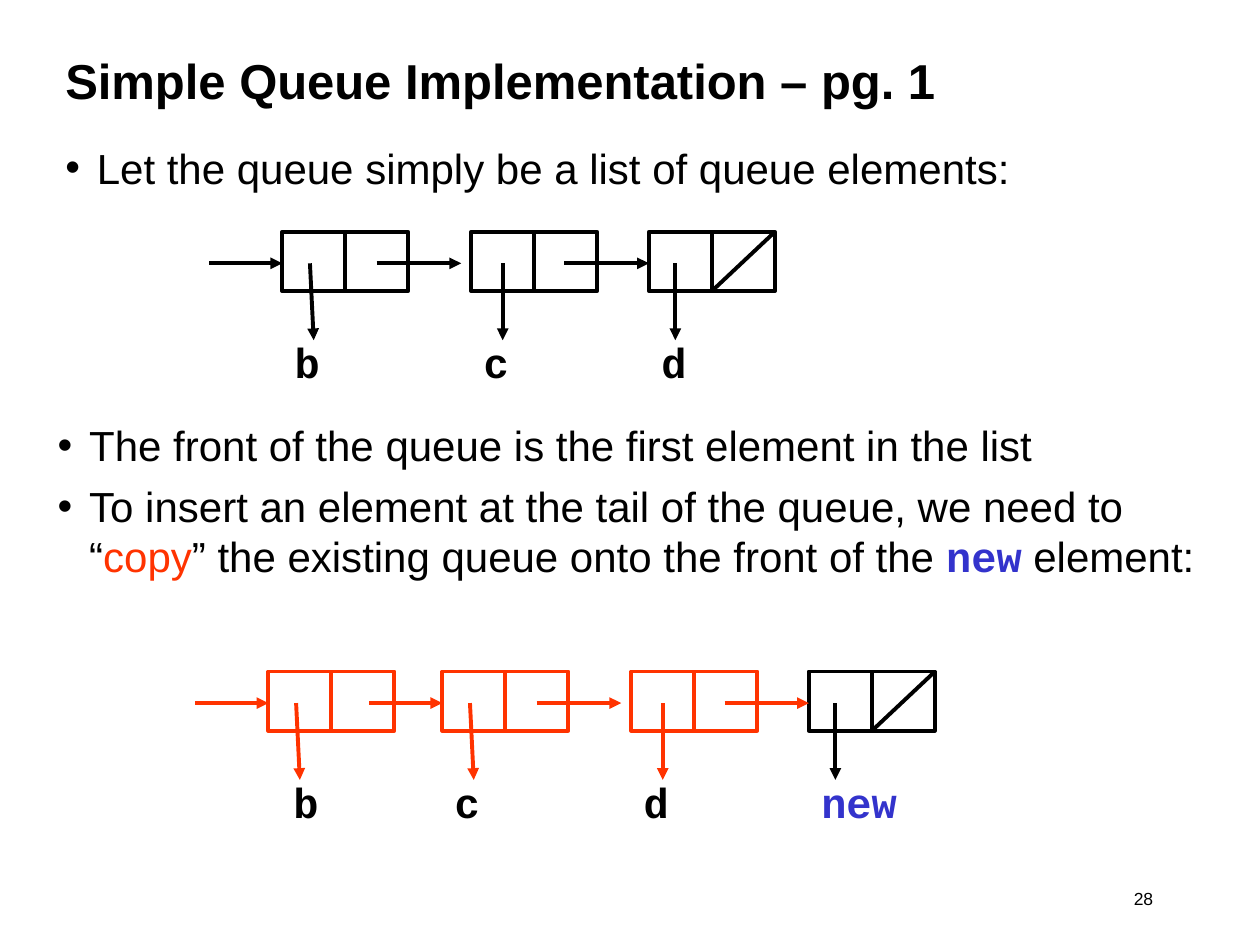
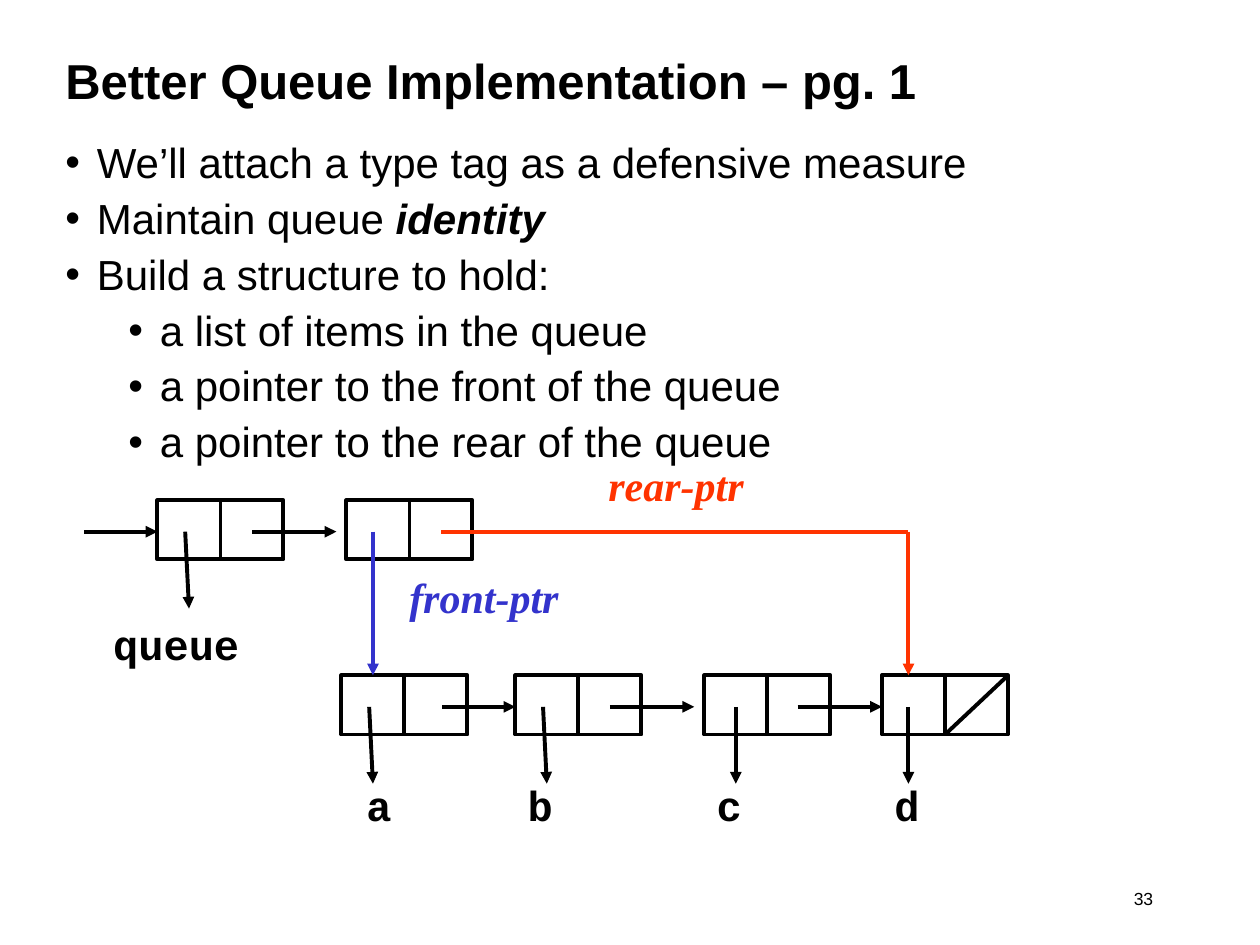
from dataclasses import dataclass

from lxml import etree
from pptx import Presentation
from pptx.dml.color import RGBColor
from pptx.enum.shapes import MSO_CONNECTOR, MSO_SHAPE
from pptx.enum.text import MSO_ANCHOR, PP_ALIGN
from pptx.oxml.ns import qn
from pptx.util import Inches, Pt

STRAIGHT = MSO_CONNECTOR.STRAIGHT
RECT = MSO_SHAPE.RECTANGLE
TOP, MIDDLE = MSO_ANCHOR.TOP, MSO_ANCHOR.MIDDLE
LEFT, RIGHT = PP_ALIGN.LEFT, PP_ALIGN.RIGHT


@dataclass(frozen=True)
class Theme:
    black: RGBColor = RGBColor(0x00, 0x00, 0x00)
    red: RGBColor = RGBColor(0xFF, 0x33, 0x00)
    blue: RGBColor = RGBColor(0x33, 0x33, 0xCC)
    sans: str = "Arial"
    mono: str = "Courier New"
    serif: str = "Times New Roman"
    title: Pt = Pt(28)
    body: Pt = Pt(24)
    number: Pt = Pt(10)
    line: Pt = Pt(2.25)
    gap: Pt = Pt(6)


THEME = Theme()
CODE = {"name": THEME.mono, "bold": True}
POINTER = {"name": THEME.serif, "bold": True, "italic": True}

CELL_W, CELL_H = 1, 0.47
MID = 0.25  # depth inside a cell where its pointers start
DROP = 0.86  # depth where the pointer to the value ends


@dataclass(frozen=True)
class Slot:
    """Place of a queue cell; all x values but left are relative to the cell."""
    left: float
    link: tuple
    drop: tuple
    label: float = 0


FIRST = Slot(0, (-0.58, 0), (0.22, 0.25), 0.1)
SLOTS = (
    FIRST,
    Slot(1.38, (-0.58, 0), (0.22, 0.25)),
    Slot(2.88, (-0.75, -0.08), (0.25, 0.25)),
    Slot(4.29, (-0.67, 0), (0.21, 0.21)),
)


class Deck:
    def __init__(self, theme):
        self.theme = theme
        self.prs = Presentation()
        self.prs.slide_width, self.prs.slide_height = Inches(10), Inches(7.5)
        self.shapes = None

    def slide(self, title, number):
        s = self.prs.slides.add_slide(self.prs.slide_layouts[6])
        self.shapes = s.shapes
        t = self.theme
        self.text(0.42, 0.17, 8.5, 0.92, [title], anchor=MIDDLE,
                  size=t.title, bold=True)
        self.text(6.83, 7, 2.42, 0.33, [number], align=RIGHT, size=t.number)

    def text(self, x, y, w, h, paragraphs, anchor=TOP, align=LEFT, **style):
        """Add a text box; a paragraph is a string or a list of (text, style)."""
        tf = self.shapes.add_textbox(
            Inches(x), Inches(y), Inches(w), Inches(h)).text_frame
        tf.word_wrap = True
        tf.vertical_anchor = anchor
        for i, content in enumerate(paragraphs):
            p = tf.paragraphs[0] if i == 0 else tf.add_paragraph()
            p.alignment = align
            runs = [(content, {})] if isinstance(content, str) else content
            for words, extra in runs:
                self.run(p, words, {**style, **extra})
        return tf

    def run(self, p, words, style):
        values = {"name": self.theme.sans, "size": self.theme.body,
                  "bold": False, "italic": False, **style}
        color = values.pop("color", self.theme.black)
        r = p.add_run()
        r.text = words
        for key, value in values.items():
            setattr(r.font, key, value)
        r.font.color.rgb = color

    def bullets(self, x, y, h, items, spacing=1.0):
        """Add a bullet list; an item is (level, paragraph)."""
        tf = self.text(x, y, 9.25, h, [content for _, content in items])
        for i, (p, (level, _)) in enumerate(zip(tf.paragraphs, items)):
            p.level = level
            p.line_spacing = spacing
            p.space_before = self.theme.gap if i else Pt(0)
            pPr = p._p.get_or_add_pPr()
            pPr.set("marL", str(Inches(0.25 + 0.5 * level)))
            pPr.set("indent", str(Inches(-0.25)))
            etree.SubElement(pPr, qn("a:buFont"), typeface=self.theme.sans)
            etree.SubElement(pPr, qn("a:buChar"), char="•")

    def label(self, x, y, words, w, **style):
        self.text(x, y, w, 0.5, [words], **style)

    def line(self, x1, y1, x2, y2, color, arrow=False):
        c = self.shapes.add_connector(
            STRAIGHT, Inches(x1), Inches(y1), Inches(x2), Inches(y2))
        c.line.color.rgb = color
        c.line.width = self.theme.line
        if arrow:
            etree.SubElement(c.line._ln, qn("a:tailEnd"), type="triangle")
        etree.SubElement(c._element.spPr, qn("a:effectLst"))

    def arrow(self, x1, y1, x2, y2, color):
        self.line(x1, y1, x2, y2, color, arrow=True)

    def cell(self, x, y, color, nil=False):
        """Add a two-part list cell, struck through when it ends the list."""
        sp = self.shapes.add_shape(
            RECT, Inches(x), Inches(y), Inches(CELL_W), Inches(CELL_H))
        sp.shadow.inherit = False
        sp.fill.background()
        sp.line.color.rgb = color
        sp.line.width = self.theme.line
        half = x + CELL_W / 2
        self.line(half, y, half, y + CELL_H, color)
        if nil:
            self.line(x + CELL_W, y, half, y + CELL_H, color)

    def link(self, x, y, slot, color):
        """Add the arrow that leads into the cell at x."""
        start, end = slot.link
        self.arrow(x + start, y + MID, x + end, y + MID, color)

    def drop(self, x, y, slot, color):
        """Add the arrow from the cell at x down to its value."""
        start, end = slot.drop
        self.arrow(x + start, y + MID, x + end, y + DROP, color)

    def queue(self, x, y, items, color, entry=True, last_color=None,
              label_color=None):
        """Add a linked list; a shorter one takes the last slots."""
        slots = SLOTS[-len(items):]
        black = self.theme.black
        for i, (slot, item) in enumerate(zip(slots, items)):
            left = x + slot.left - slots[0].left
            last = i == len(items) - 1
            shade = (last_color or color) if last else color
            self.cell(left, y, shade, nil=last)
            if i or entry:
                self.link(left, y, slot, color)
            self.drop(left, y, slot, shade)
            ink = (label_color or black) if last else black
            self.label(left + slot.label, y + 0.78, item,
                       w=0.3 + 0.2 * len(item), color=ink, **CODE)


def simple_queue(deck):
    t = deck.theme
    deck.slide("Simple Queue Implementation – pg. 1", "28")
    deck.bullets(0.42, 1.08, 0.59, [
        (0, "Let the queue simply be a list of queue elements:")])
    deck.queue(2.24, 1.84, ["b", "c", "d"], t.black)
    deck.bullets(0.36, 3.28, 1.44, [
        (0, "The front of the queue is the first element in the list"),
        (0, [("To insert an element at the tail of the queue, we need to “", {}),
             ("copy", {"color": t.red}),
             ("” the existing queue onto the front of the ", {}),
             ("new", {"color": t.blue, **CODE}),
             (" element:", {})])])
    deck.queue(2.13, 5.33, ["b", "c", "d", "new"], t.red,
               last_color=t.black, label_color=t.blue)


def better_queue(deck):
    t = deck.theme
    deck.slide("Better Queue Implementation – pg. 1", "33")
    deck.bullets(0.42, 1.08, 2.83, [
        (0, "We’ll attach a type tag as a defensive measure"),
        (0, [("Maintain queue ", {}),
             ("identity", {"bold": True, "italic": True})]),
        (0, "Build a structure to hold:"),
        (1, "a list of items in the queue"),
        (1, "a pointer to the front of the queue"),
        (1, "a pointer to the rear of the queue")], spacing=0.9)

    tag_x, pair_x, head_y = 1.25, 2.75, 3.97
    for x, slot in ((tag_x, FIRST), (pair_x, SLOTS[2])):
        deck.cell(x, head_y, t.black)
        deck.link(x, head_y, slot, t.black)
    deck.drop(tag_x, head_y, FIRST, t.black)
    deck.label(0.8, 4.86, "queue", w=1.3, **CODE)

    list_y = 5.36
    deck.queue(2.71, list_y, ["a", "b", "c", "d"], t.black, entry=False)

    front_x, rear_x, pointer_y = 2.96, 7.21, head_y + MID
    deck.arrow(front_x, pointer_y, front_x, list_y, t.blue)
    deck.line(3.5, pointer_y, rear_x, pointer_y, t.red)
    deck.arrow(rear_x, pointer_y, rear_x, list_y, t.red)
    deck.label(3.15, 4.49, "front-ptr", w=1.5, color=t.blue, **POINTER)
    deck.label(4.73, 3.6, "rear-ptr", w=1.4, color=t.red, **POINTER)


def main():
    deck = Deck(THEME)
    simple_queue(deck)
    better_queue(deck)
    deck.prs.save("out.pptx")


if __name__ == "__main__":
    main()
